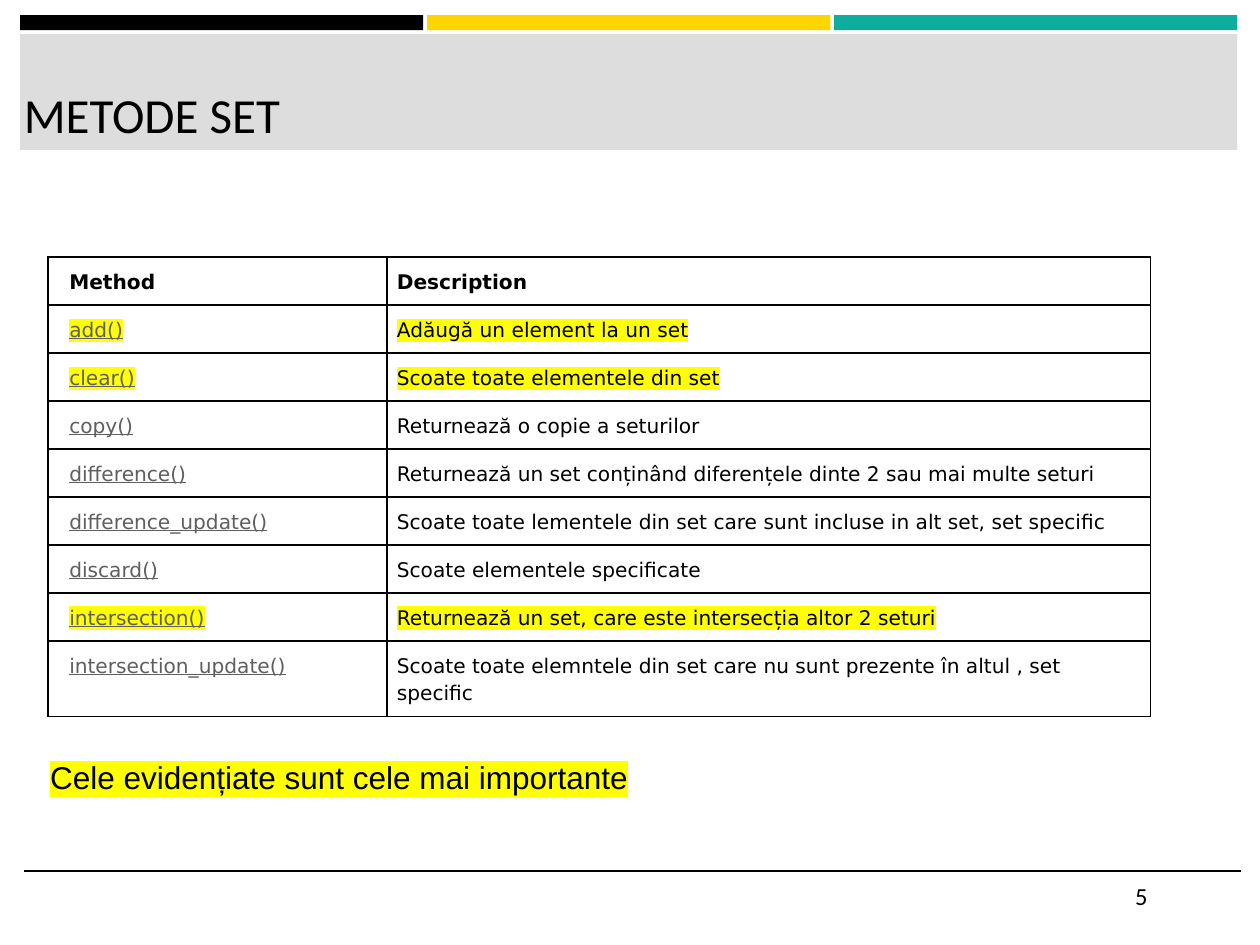
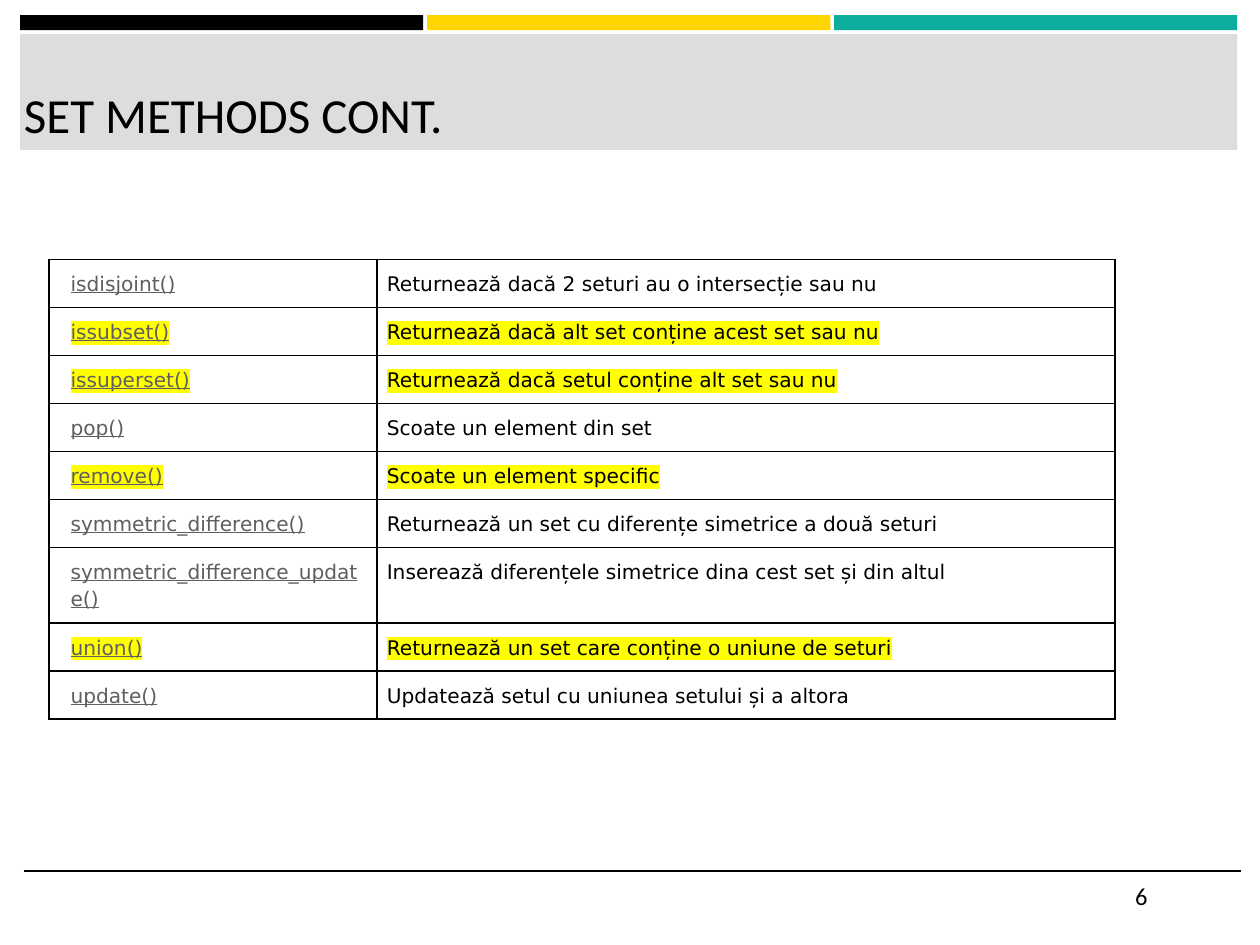
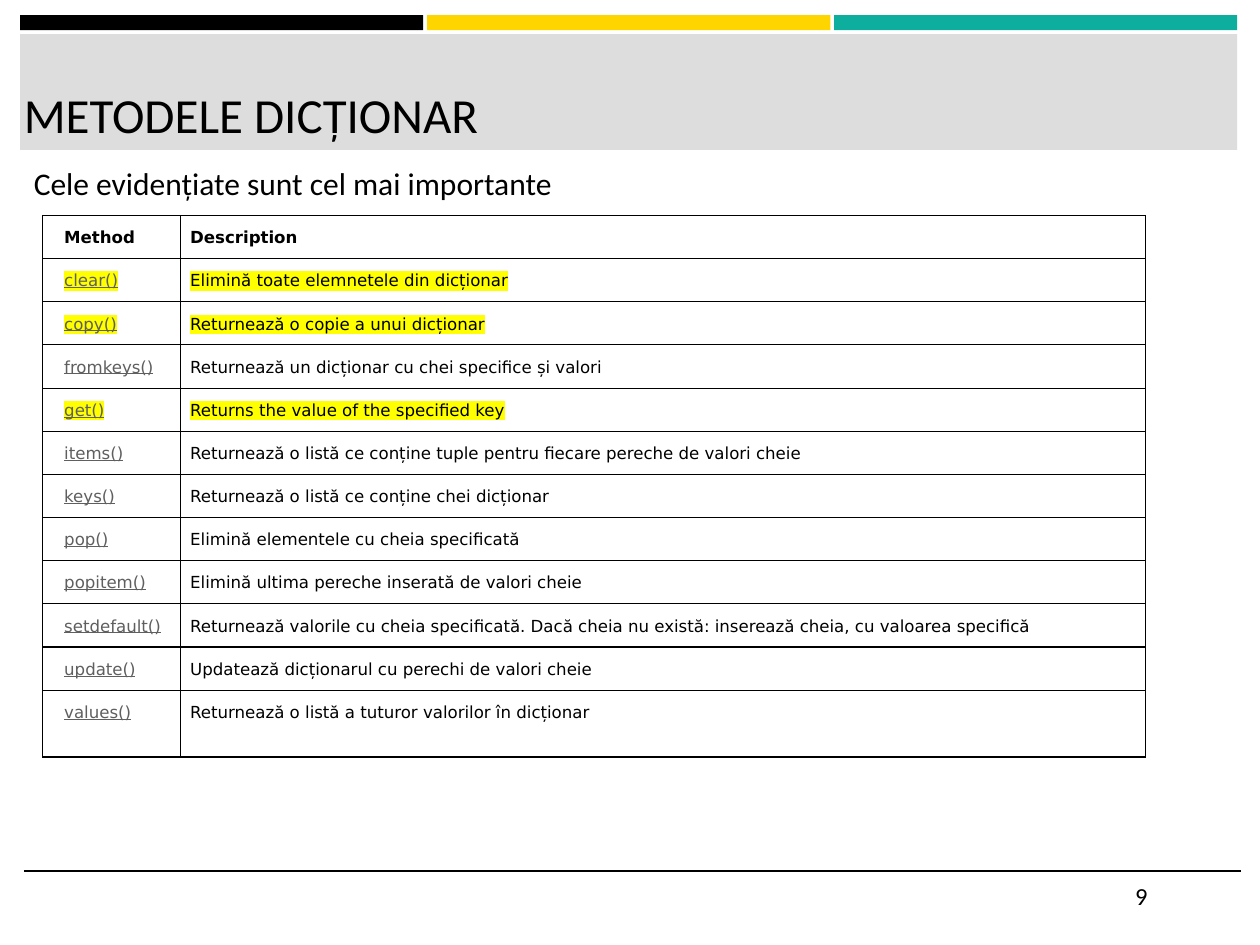
from lxml import etree
from pptx import Presentation
from pptx.dml.color import RGBColor
from pptx.enum import shapes, text
from pptx.oxml import ns
from pptx.util import Inches, Pt

COLORS = {
    "ink": "000000",
    "yellow": "FFD500",
    "teal": "0EAE9F",
    "band": "DDDDDD",
    "paper": "FFFFFF",
    "method": "5F5F5F",
    "marker": "FFFF00",
}
HEADING_FONT = "Calibri"
TABLE_FONT = "DejaVu Sans"
HEADER = ("Method", "Description")

# Each entry: method, description, whether it is highlighted
SET_METHODS = [
    ("add()", "Adăugă un element la un set", True),
    ("clear()", "Scoate toate elementele din set", True),
    ("copy()", "Returnează o copie a seturilor", False),
    ("difference()", "Returnează un set conținând diferențele dinte 2 sau mai multe seturi", False),
    ("difference_update()",
     "Scoate toate lementele din set care sunt incluse in alt set, set specific", False),
    ("discard()", "Scoate elementele specificate", False),
    ("intersection()", "Returnează un set, care este intersecția altor 2 seturi", True),
    ("intersection_update()",
     "Scoate toate elemntele din set care nu sunt prezente în altul , set specific", False),
]
MORE_SET_METHODS = [
    ("isdisjoint()", "Returnează dacă 2 seturi au o intersecție sau nu", False),
    ("issubset()", "Returnează dacă alt set conține acest set sau nu", True),
    ("issuperset()", "Returnează dacă setul conține alt set sau nu", True),
    ("pop()", "Scoate un element din set", False),
    ("remove()", "Scoate un element specific", True),
    ("symmetric_difference()", "Returnează un set cu diferențe simetrice a două seturi", False),
    ("symmetric_difference_update()",
     "Inserează diferențele simetrice dina cest set și din altul", False),
    ("union()", "Returnează un set care conține o uniune de seturi", True),
    ("update()", "Updatează setul cu uniunea setului și a altora", False),
]
DICTIONARY_METHODS = [
    ("clear()", "Elimină toate elemnetele din dicționar", True),
    ("copy()", "Returnează o copie a unui dicționar", True),
    ("fromkeys()", "Returnează un dicționar cu chei specifice și valori", False),
    ("get()", "Returns the value of the specified key", True),
    ("items()", "Returnează o listă ce conține tuple pentru fiecare pereche de valori cheie", False),
    ("keys()", "Returnează o listă ce conține chei dicționar", False),
    ("pop()", "Elimină elementele cu cheia specificată", False),
    ("popitem()", "Elimină ultima pereche inserată de valori cheie", False),
    ("setdefault()",
     "Returnează valorile cu cheia specificată. Dacă cheia nu există: "
     "inserează cheia, cu valoarea specifică", False),
    ("update()", "Updatează dicționarul cu perechi de valori cheie", False),
    ("values()", "Returnează o listă a tuturor valorilor în dicționar", False),
]


def rgb(name):
    return RGBColor.from_string(COLORS[name])


def write_text(frame, content, size=18, font=HEADING_FONT, color="ink", bold=False,
               underline=False, highlighted=False, line_spacing=None):
    paragraph = frame.paragraphs[0]
    if line_spacing:
        paragraph.line_spacing = line_spacing
    run = paragraph.add_run()
    run.text = content
    run.font.size = Pt(size)
    run.font.name = font
    run.font.bold = bold
    run.font.underline = underline
    run.font.color.rgb = rgb(color)
    if highlighted:
        highlight = etree.Element(ns.qn("a:highlight"))
        etree.SubElement(highlight, ns.qn("a:srgbClr"), val=COLORS["marker"])
        run.font.fill  # the solid fill already precedes the highlight in the run properties
        run._r.rPr.find(ns.qn("a:solidFill")).addnext(highlight)


def add_text(slide, content, left, top, width, height, inset=(0, 0),
             anchor=text.MSO_ANCHOR.TOP, **style):
    """Add a text box; inset is (horizontal, vertical) in inches."""
    frame = slide.shapes.add_textbox(
        Inches(left), Inches(top), Inches(width), Inches(height)).text_frame
    frame.word_wrap = True
    frame.vertical_anchor = anchor
    frame.margin_left = frame.margin_right = Inches(inset[0])
    frame.margin_top = frame.margin_bottom = Inches(inset[1])
    write_text(frame, content, **style)


def add_bar(slide, color, left, top, width, height):
    bar = slide.shapes.add_shape(
        shapes.MSO_SHAPE.RECTANGLE, Inches(left), Inches(top), Inches(width), Inches(height))
    bar.shadow.inherit = False
    bar.fill.solid()
    bar.fill.fore_color.rgb = rgb(color)
    bar.line.fill.background()


def add_footer_rule(slide):
    rule = slide.shapes.add_connector(
        shapes.MSO_CONNECTOR.STRAIGHT, Inches(0.19), Inches(6.91), Inches(9.85), Inches(6.91))
    rule.line.color.rgb = rgb("ink")
    rule.line.width = Pt(1)
    etree.SubElement(rule._element.spPr, ns.qn("a:effectLst"))


def add_framed_slide(deck, title, number):
    """Add a slide with the shared bars, title band, footer rule and page number."""
    slide = deck.slides.add_slide(deck.slide_layouts[6])
    for position, color in enumerate(("ink", "yellow", "teal")):
        add_bar(slide, color, 0.16 + position * 3.23, 0.12, 3.2, 0.12)
    add_bar(slide, "band", 0.16, 0.27, 9.66, 0.92)
    add_footer_rule(slide)
    add_text(slide, title, 0.19, 0.32, 9.57, 0.82, anchor=text.MSO_ANCHOR.BOTTOM, size=28)
    add_text(slide, str(number), 9.01, 6.91, 0.84, 0.4, anchor=text.MSO_ANCHOR.MIDDLE, size=14)
    return slide


def set_borders(cell, width):
    properties = cell._tc.get_or_add_tcPr()
    for position, side in enumerate(("a:lnL", "a:lnR", "a:lnT", "a:lnB")):
        border = etree.Element(ns.qn(side), w=str(Pt(width)))
        fill = etree.SubElement(border, ns.qn("a:solidFill"))
        etree.SubElement(fill, ns.qn("a:srgbClr"), val=COLORS["ink"])
        properties.insert(position, border)


def fill_cell(cell, content, left_inset, border, **style):
    cell.margin_left = Inches(left_inset)
    cell.margin_right = cell.margin_top = cell.margin_bottom = Inches(0.08)
    cell.fill.solid()
    cell.fill.fore_color.rgb = rgb("paper")
    set_borders(cell, border)
    write_text(cell.text_frame, content, font=TABLE_FONT, line_spacing=1.15, **style)


def add_method_table(slide, methods, left, top, columns, row_heights,
                     size=11.5, border=1, header=True):
    entries = [(*HEADER, False)] * header + methods
    table = slide.shapes.add_table(
        len(entries), 2, Inches(left), Inches(top),
        Inches(sum(columns)), Inches(sum(row_heights))).table
    table.first_row = table.horz_banding = False
    for column, width in zip(table.columns, columns):
        column.width = Inches(width)
    for index, (method, description, important) in enumerate(entries):
        is_header = header and index == 0
        table.rows[index].height = Inches(row_heights[index])
        style = {"size": size, "border": border, "bold": is_header, "highlighted": important}
        fill_cell(table.cell(index, 0), method, 0.17, underline=not is_header,
                  color="ink" if is_header else "method", **style)
        fill_cell(table.cell(index, 1), description, 0.08, **style)


def main():
    deck = Presentation()
    deck.slide_width, deck.slide_height = Inches(10), Inches(7.5)

    set_slide = add_framed_slide(deck, "METODE SET", 5)
    add_method_table(set_slide, SET_METHODS, 0.38, 2.04, (2.69, 6.06), [0.38] * 8 + [0.6])
    add_text(set_slide, "Cele evidențiate sunt cele mai importante", 0.3, 5.92, 5.47, 0.5,
             inset=(0.1, 0.1), font="Arial", highlighted=True)

    more_slide = add_framed_slide(deck, "SET METHODS CONT.", 6)
    add_method_table(more_slide, MORE_SET_METHODS, 0.39, 2.06, (2.6, 5.86),
                     [0.38] * 6 + [0.6] + [0.38] * 2, header=False)

    dictionary_slide = add_framed_slide(deck, "METODELE DICȚIONAR", 9)
    add_text(dictionary_slide, "Cele evidențiate sunt cel mai importante",
             0.17, 1.25, 9.66, 5.56, inset=(0.1, 0.05))
    add_method_table(dictionary_slide, DICTIONARY_METHODS, 0.34, 1.71, (1.09, 7.66),
                     [3.77 / 11] * 11 + [0.53], size=9.5, border=0.75)

    deck.save("out.pptx")


if __name__ == "__main__":
    main()
